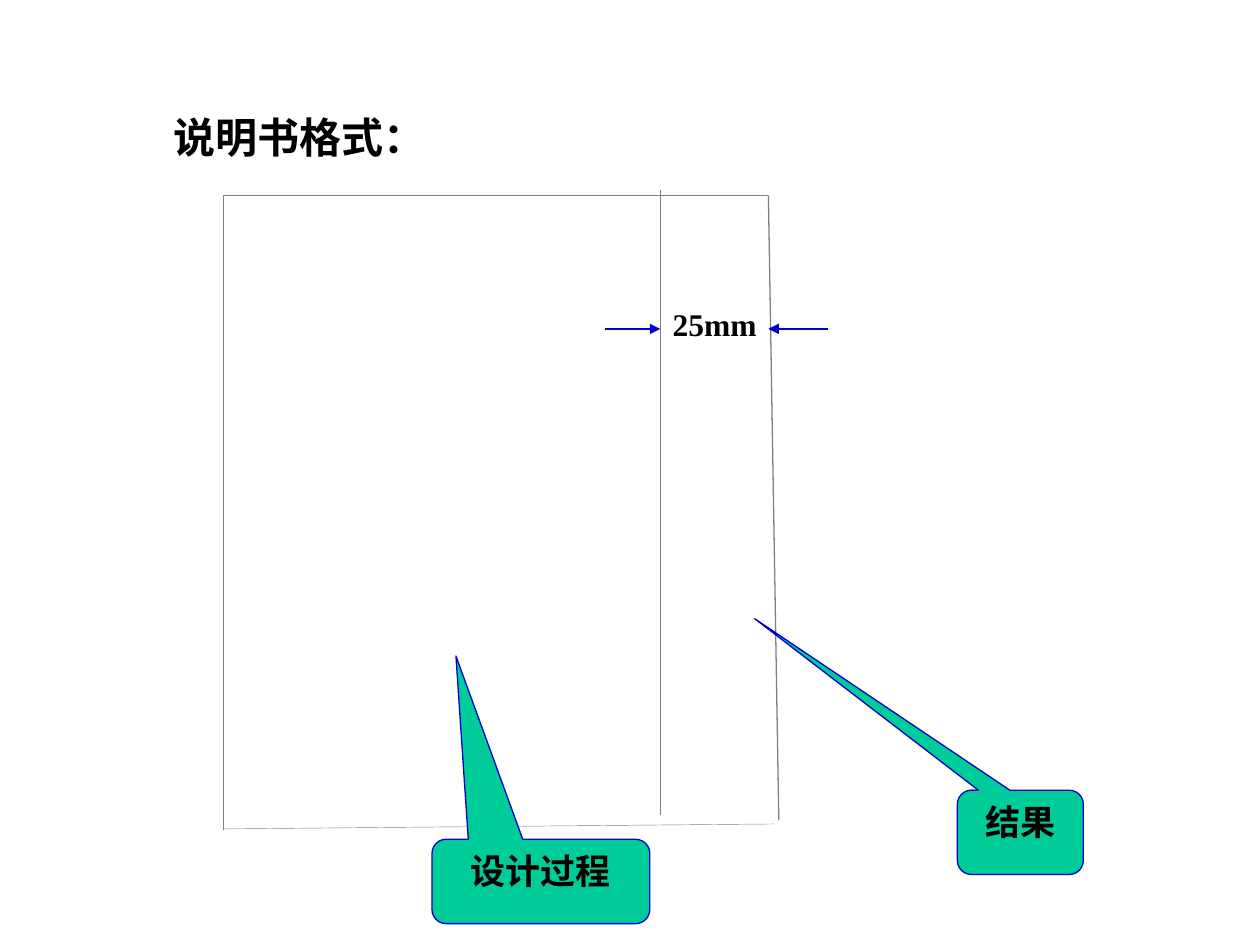
"""Build the slide on the page format of a design report."""
from lxml.etree import SubElement as Sub
from pptx import Presentation
from pptx.dml.color import RGBColor as RGB
from pptx.enum.shapes import MSO_CONNECTOR as Link, MSO_SHAPE as Shape
from pptx.enum.text import MSO_ANCHOR as Anchor, MSO_AUTO_SIZE as Auto, PP_ALIGN as Align
from pptx.oxml.ns import qn
from pptx.util import Cm, Pt

COLORS = {"black": "000000", "gray": "808080", "blue": "0000CC", "green": "00CC99"}


def write(shape, text, size, align=Align.LEFT):
    frame = shape.text_frame
    frame.word_wrap = True
    frame.auto_size = Auto.NONE
    frame.vertical_anchor = Anchor.TOP
    para = frame.paragraphs[0]
    para.alignment = align
    run = para.add_run()
    run.text = text
    font = run.font
    font.name = "Times New Roman"
    font.size = Pt(size)
    font.bold = True
    font.color.rgb = RGB.from_string(COLORS["black"])


def draw(ends, color, width):
    line = slide.shapes.add_connector(Link.STRAIGHT, *map(Cm, ends))
    line.line.color.rgb = RGB.from_string(COLORS[color])
    line.line.width = Pt(width)
    Sub(line._element.spPr, qn("a:effectLst"))
    return line


prs = Presentation()
prs.slide_width, prs.slide_height = Cm(25.4), Cm(19.05)
slide = prs.slides.add_slide(prs.slide_layouts[5])

title = slide.shapes.title
title.left, title.top, title.width, title.height = map(Cm, (3.25, 2.13, 7.67, 2.29))
write(title, "说明书格式：", 24)

left, top, right, split = 4.5, 3.94, 15.49, 13.31
for ends, color, width in [
    ((left, top, right, top), "gray", 0.75),
    ((left, 5.92, left, 16.13), "blue", 0.25),
    ((left, top, left, 16.74), "gray", 0.25),
    ((left, 16.71, 15.6, 16.61), "gray", 0.25),
    ((right, top, 15.7, 16.54), "gray", 0.75),
    ((split, 3.84, split, 16.43), "gray", 0.75),
]:
    draw(ends, color, width)

for text, box, tip in [
    ("设计过程", (8.71, 16.92, 4.39, 1.7), (-0.39, -2.674)),
    ("结果", (19.3, 15.93, 2.54, 1.7), (-2.109, -2.534)),
]:
    note = slide.shapes.add_shape(Shape.ROUNDED_RECTANGULAR_CALLOUT, *map(Cm, box))
    note.shadow.inherit = False
    note.adjustments[0], note.adjustments[1] = tip
    note.adjustments[2] = 0.167
    note.fill.solid()
    note.fill.fore_color.rgb = RGB.from_string(COLORS["green"])
    note.line.color.rgb = RGB.from_string(COLORS["blue"])
    note.line.width = Pt(0.75)
    write(note, text, 20, Align.CENTER)

level = 6.63
for start, end in [(16.69, right), (12.19, split)]:
    arrow = draw((start, level, end, level), "blue", 1.5)
    Sub(arrow.line._get_or_add_ln(), qn("a:tailEnd"), type="triangle")

label = slide.shapes.add_textbox(*map(Cm, (split, 6.02, 7.67, 1.02)))
write(label, "25mm", 18)

prs.save("out.pptx")
